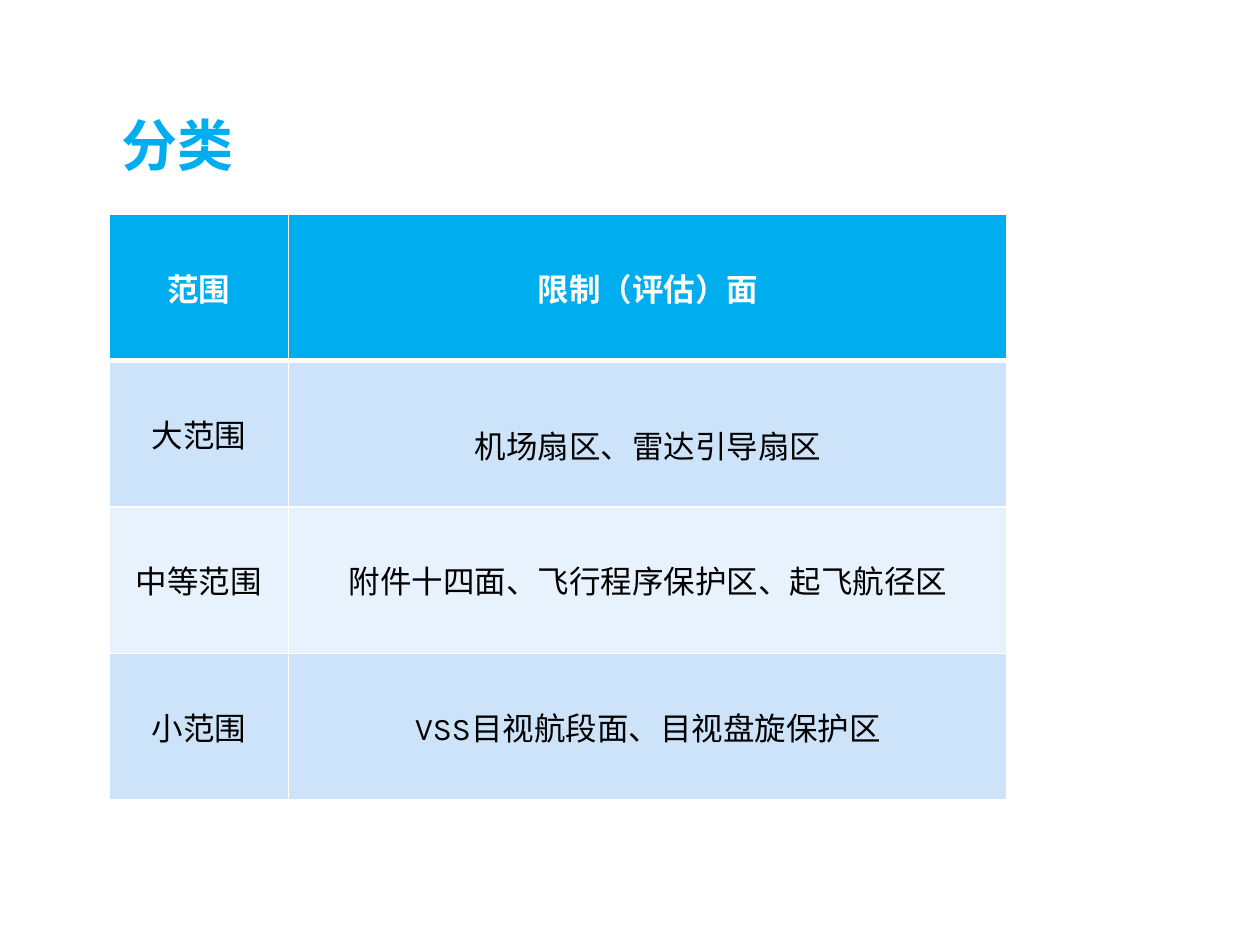
from lxml import etree
from pptx import Presentation
from pptx.dml.color import RGBColor
from pptx.enum import text
from pptx.oxml.ns import qn
from pptx.util import Cm, Pt

HAN = "Noto Sans CJK SC"
BLUE, WHITE, BLACK = "00AEEF", "FFFFFF", "000000"
BANDS = ["CCE3F9", "E7F2FC"]
ROWS = [
    ("范围", "限制（评估）面"),
    ("大范围", "机场扇区、雷达引导扇区"),
    ("中等范围", "附件十四面、飞行程序保护区、起飞航径区"),
    ("小范围", "VSS目视航段面、目视盘旋保护区"),
]


def rgb(code):
    """Turn a hex string into a colour."""
    return RGBColor.from_string(code)


def style(para, size, face, tint, bold, align):
    """Set the font and alignment of a paragraph."""
    para.alignment = align
    font = para.font
    font.size, font.name, font.bold = Pt(size), face, bold
    font.color.rgb = rgb(tint)
    props = para._p.pPr.find(qn("a:defRPr"))
    etree.SubElement(props, qn("a:ea"), typeface=HAN)


def place(shape, left, top, width, height):
    """Move and size a shape in centimetres."""
    shape.left, shape.top = Cm(left), Cm(top)
    shape.width, shape.height = Cm(width), Cm(height)


def edge(cell, widths):
    """Draw white borders in the order left, right, top, bottom."""
    props = cell._tc.get_or_add_tcPr()
    for spot, (side, width) in enumerate(zip("LRTB", widths)):
        line = etree.Element(qn(f"a:ln{side}"), w=str(Pt(width)))
        fill = etree.SubElement(line, qn("a:solidFill"))
        etree.SubElement(fill, qn("a:srgbClr"), val=WHITE)
        props.insert(spot, line)


def head(slide, words):
    """Fill and format the title."""
    title = slide.shapes.title
    place(title, 2.2, 1.48, 18.1, 2.23)
    frame = title.text_frame
    frame.text = words
    frame.vertical_anchor = text.MSO_ANCHOR.BOTTOM
    para = frame.paragraphs[0]
    para.line_spacing = 0.8
    style(para, 32, HAN, BLUE, True, text.PP_ALIGN.LEFT)


def grid(slide, rows):
    """Add the table of ranges and surfaces."""
    frame = slide.shapes.add_table(len(rows), 2, Cm(2.2), Cm(4.32), Cm(18.1), Cm(11.8))
    table = frame.table
    for col, width in zip(table.columns, (3.62, 14.48)):
        col.width = Cm(width)
    for r, row in enumerate(rows):
        top = r == 0
        for c, words in enumerate(row):
            cell = table.cell(r, c)
            cell.text = words
            cell.vertical_anchor = text.MSO_ANCHOR.MIDDLE
            cell.fill.solid()
            cell.fill.fore_color.rgb = rgb(BLUE if top else BANDS[(r - 1) % 2])
            edge(cell, (1, 1, 3 if r == 1 else 1, 3 if top else 1))
            style(cell.text_frame.paragraphs[0], 18, "Karla",
                  WHITE if top else BLACK, top, text.PP_ALIGN.CENTER)
    table.cell(1, 1).text_frame.paragraphs[0].line_spacing = 1.5


def main():
    """Build and save the slide."""
    deck = Presentation()
    deck.slide_width, deck.slide_height = Cm(25.4), Cm(19.05)
    slide = deck.slides.add_slide(deck.slide_layouts[5])
    head(slide, "分类")
    grid(slide, ROWS)
    deck.save("out.pptx")


if __name__ == "__main__":
    main()
